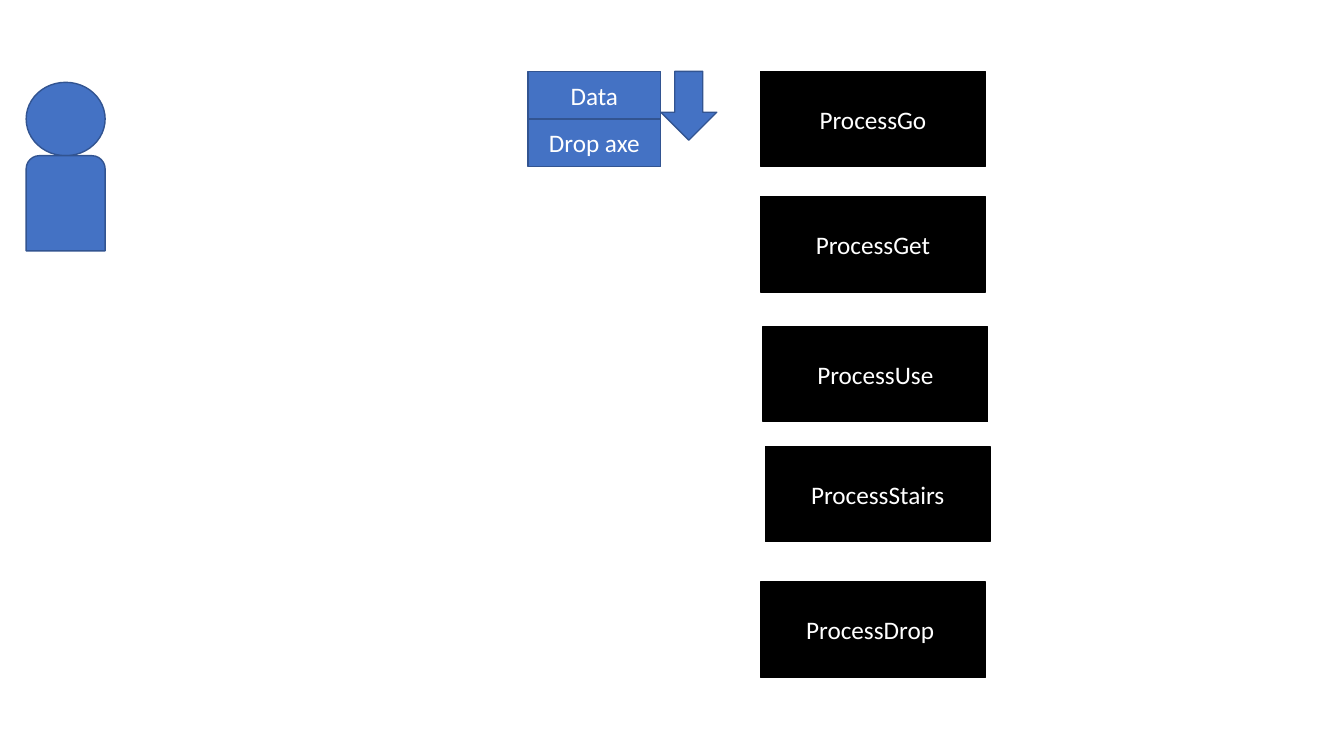
from pptx import Presentation
from pptx.dml.color import RGBColor
from pptx.enum.shapes import MSO_SHAPE
from pptx.enum.text import MSO_ANCHOR, PP_ALIGN
from pptx.util import Pt

RECT = MSO_SHAPE.RECTANGLE
OVAL = MSO_SHAPE.OVAL
ROUND_TOP = MSO_SHAPE.ROUND_2_SAME_RECTANGLE
DOWN_ARROW = MSO_SHAPE.DOWN_ARROW
MIDDLE = MSO_ANCHOR.MIDDLE
CENTER = PP_ALIGN.CENTER

BLACK = RGBColor(0x00, 0x00, 0x00)
WHITE = RGBColor(0xFF, 0xFF, 0xFF)
BLUE = RGBColor(0x44, 0x72, 0xC4)
DARK_BLUE = RGBColor(0x32, 0x54, 0x91)

FONT = {"name": "Calibri", "size": Pt(18)}


def add_box(shapes, kind, box, fill, line, text=""):
    sp = shapes.add_shape(kind, *[Pt(v) for v in box])
    sp.shadow.inherit = False
    sp.fill.solid()
    sp.fill.fore_color.rgb = fill
    sp.line.color.rgb = line
    sp.line.width = Pt(1)
    if text:
        tf = sp.text_frame
        tf.vertical_anchor = MIDDLE
        p = tf.paragraphs[0]
        p.alignment = CENTER
        r = p.add_run()
        r.text = text
        for key, value in FONT.items():
            setattr(r.font, key, value)
        r.font.color.rgb = WHITE


prs = Presentation()
prs.slide_width = Pt(960)
prs.slide_height = Pt(540)
s = prs.slides.add_slide(prs.slide_layouts[6])

processes = [
    ("ProcessGo", 543.3, 51),
    ("ProcessGet", 543.3, 140.5),
    ("ProcessUse", 545, 233.3),
    ("ProcessStairs", 546.7, 319),
    ("ProcessDrop ", 543.3, 415.8),
]
for text, left, top in processes:
    add_box(s.shapes, RECT, (left, top, 160.6, 68), BLACK, BLACK, text)

person = s.shapes.add_group_shape().shapes
add_box(person, OVAL, (18.7, 58.8, 56.4, 52.4), BLUE, DARK_BLUE)
add_box(person, ROUND_TOP, (18.7, 111.2, 56.4, 68), BLUE, DARK_BLUE)

data = s.shapes.add_group_shape().shapes
add_box(data, DOWN_ARROW, (472, 51, 40, 49.2), BLUE, DARK_BLUE)
for row, text in enumerate(("Data", "Drop axe")):
    add_box(data, RECT, (377, 51 + 34 * row, 95, 34), BLUE, DARK_BLUE, text)

prs.save("out.pptx")
